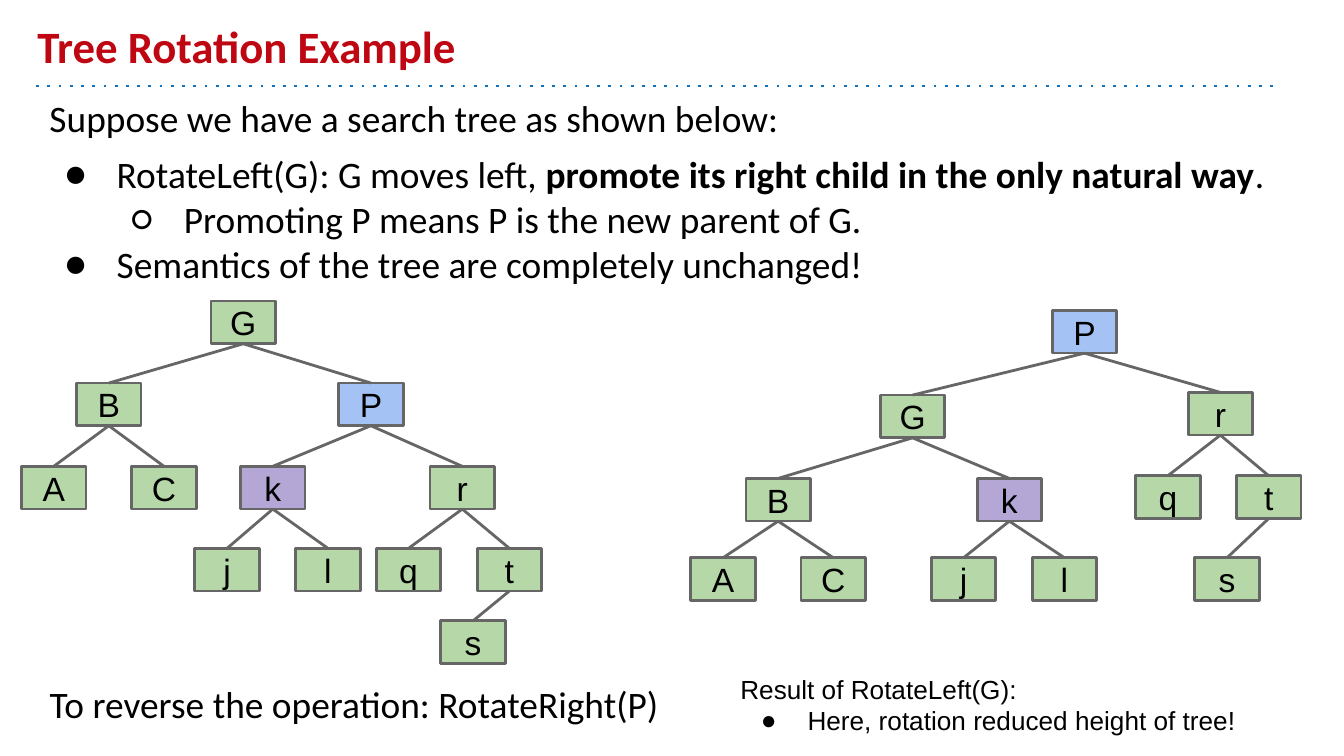
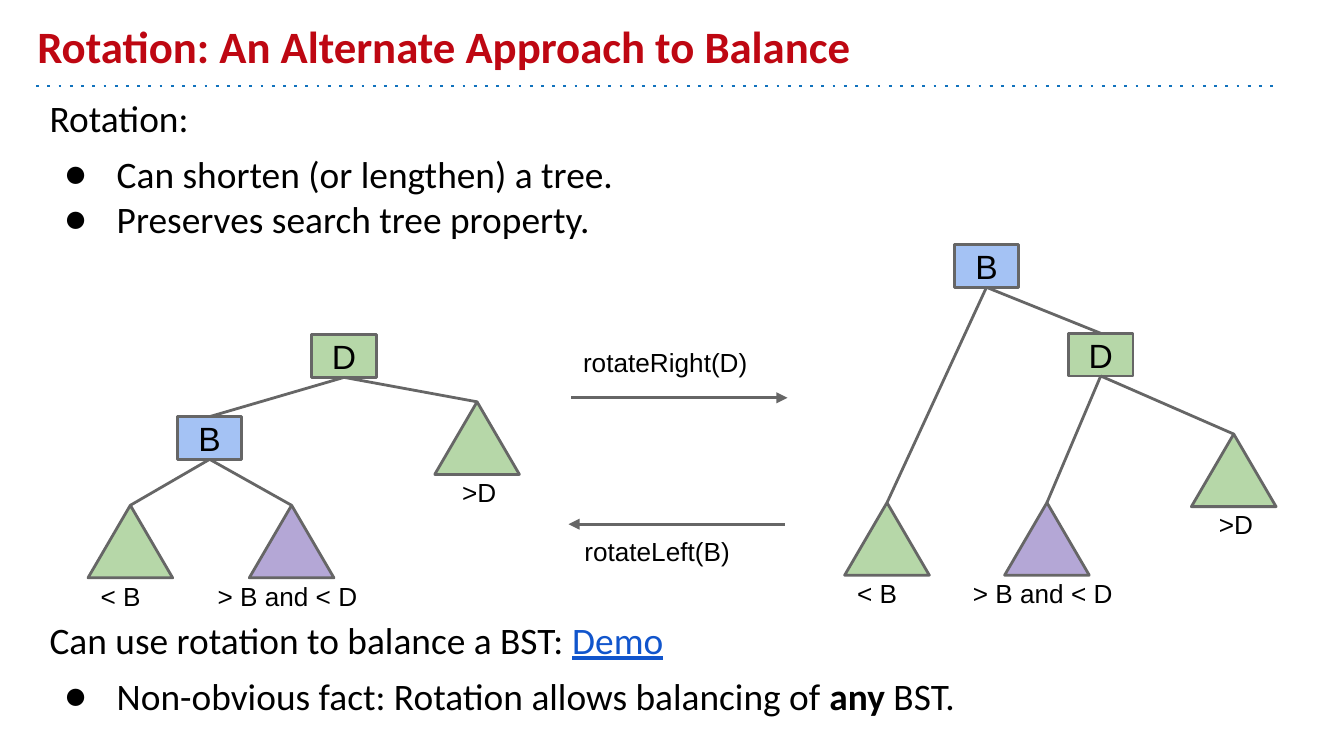
from lxml import etree
from pptx import Presentation
from pptx import util as u
from pptx.dml import color
from pptx.enum import shapes, text
from pptx.oxml import ns

rgb = color.RGBColor.from_string
RED, BLUE, BLACK, GREY, LINK = "BE0712", "1072BD", "000000", "666666", "1155CC"
GREEN, SKY, PURPLE = "B6D7A8", "A4C2F4", "B4A7D6"

TITLE = {"name": "Calibri", "size": u.Pt(24), "bold": True}
BODY = {"name": "Calibri", "size": u.Pt(20)}
KEY = {"name": "Arial", "size": u.Pt(18)}
CAPTION = {"name": "Arial", "size": u.Pt(14)}

deck = Presentation()
deck.slide_width, deck.slide_height = u.Inches(10), u.Inches(5.625)
CELL = deck.slide_width / 100
NODE_W, NODE_H = 4.8, 3.18
SUBTREE_W, SUBTREE_H = 6.3, 5.4
FRAME = {"word_wrap": True, "auto_size": text.MSO_AUTO_SIZE.NONE} | {
    f"margin_{side}": int(CELL) for side in ("left", "right", "top", "bottom")}
BULLETS = "●○"


def write(frame, paragraphs, look, ink=BLACK, gap=0, align=text.PP_ALIGN.LEFT,
          anchor=text.MSO_ANCHOR.TOP):
    for key, value in (FRAME | {"vertical_anchor": anchor}).items():
        setattr(frame, key, value)
    for index, (depth, runs) in enumerate(paragraphs):
        para = frame.add_paragraph() if index else frame.paragraphs[0]
        para.alignment = align
        if index == 1:
            para.space_before = u.Pt(gap)
        if depth:
            props = para._p.get_or_add_pPr()
            props.set("marL", str(u.Inches(0.5 * depth)))
            props.set("indent", str(-u.Inches(0.25) - look["size"] // 2))
            tint = etree.SubElement(props, ns.qn("a:buClr"))
            etree.SubElement(tint, ns.qn("a:srgbClr"), val=BLACK)
            etree.SubElement(props, ns.qn("a:buFont"), typeface=look["name"])
            etree.SubElement(props, ns.qn("a:buChar"), char=BULLETS[depth - 1])
        for words, accent in runs:
            run = para.add_run()
            run.text = words
            run.font.color.rgb = rgb(LINK if accent.get("underline") else ink)
            for key, value in (look | accent).items():
                setattr(run.font, key, value)


def link(slide, start, end, ink=GREY, detail=None):
    line = slide.shapes.add_connector(
        shapes.MSO_CONNECTOR.STRAIGHT, *(int(v * CELL) for v in (*start, *end)))
    line.line.color.rgb = rgb(ink)
    line.line.width = u.Pt(1.5)
    props = line.element.spPr
    etree.SubElement(props, ns.qn("a:effectLst"))
    if detail:
        tag, values = detail
        etree.SubElement(props.find(ns.qn("a:ln")), ns.qn(tag), values)


BOLD, UNDERLINE = {"bold": True}, {"underline": True}
SUBTREES = {
    "< B": (-3.2, 6, GREEN),
    "> B and < D": (-6.5, 14.9, PURPLE),
    ">D": (-2.1, 6.3, GREEN),
}

lessons = [
    {
        "title": "Tree Rotation Example",
        "texts": [
            ((2.7, 6.1, 97.3, 14.3), BODY, [
                (0, [("Suppose we have a search tree as shown below:", {})]),
                (1, [("RotateLeft(G): G moves left, ", {}),
                     ("promote its right child in the only natural way", BOLD),
                     (".", {})]),
                (2, [("Promoting P means P is the new parent of G.", {})]),
                (1, [("Semantics of the tree are completely unchanged!", {})])]),
            ((2.7, 49.7, 94.1, 4.2), BODY, [
                (0, [("To reverse the operation: RotateRight(P)", {})])]),
            ((54.1, 49.1, 44.1, 7.15), CAPTION, [
                (0, [("Result of RotateLeft(G):", {})]),
                (1, [("Here, rotation reduced height of tree!", {})])]),
        ],
        "fills": {"P": SKY, "k": PURPLE},
        "trees": [
            [("G", 18.1, 22.4, None),
             ("B", 8.1, 28.5, "G"), ("P", 27.6, 28.5, "G"),
             ("A", 4, 34.7, "B"), ("C", 12.2, 34.7, "B"),
             ("k", 20.3, 34.7, "P"), ("r", 34.4, 34.7, "P"),
             ("j", 16.9, 40.8, "k"), ("l", 24.4, 40.8, "k"),
             ("q", 30.4, 40.8, "r"), ("t", 37.9, 40.8, "r"),
             ("s", 35.2, 46.2, "t")],
            [("P", 80.7, 23.1, None),
             ("G", 67.9, 29.4, "P"), ("r", 90.8, 29.2, "P"),
             ("B", 57.9, 35.6, "G"), ("k", 75.1, 35.6, "G"),
             ("q", 86.9, 35.4, "r"), ("t", 94.4, 35.4, "r"),
             ("A", 53.8, 41.5, "B"), ("C", 62, 41.5, "B"),
             ("j", 71.7, 41.5, "k"), ("l", 79.2, 41.5, "k"),
             ("s", 91.3, 41.5, "t")],
        ],
        "moves": [],
    },
    {
        "title": "Rotation: An Alternate Approach to Balance",
        "texts": [
            ((2.7, 6.1, 94.1, 8.8), BODY, [
                (0, [("Rotation:", {})]),
                (1, [("Can shorten (or lengthen) a tree.", {})]),
                (1, [("Preserves search tree property.", {})])]),
            ((42.4, 24.8, 16, 4.1), CAPTION, [(0, [("rotateRight(D)", {})])]),
            ((42.5, 38.8, 16, 4.1), CAPTION, [(0, [("rotateLeft(B)", {})])]),
            ((2.7, 44.9, 94.1, 8.8), BODY, [
                (0, [("Can use rotation to balance a BST: ", {}),
                     ("Demo", UNDERLINE)]),
                (1, [("Non-obvious fact: Rotation allows balancing of ", {}),
                     ("any", BOLD), (" BST.", {})])]),
        ],
        "fills": {"B": SKY},
        "trees": [
            [("D", 25.6, 24.9, None), ("B", 15.6, 31, "D"),
             (">D", 35.5, 29.9, "D"), ("< B", 9.7, 37.6, "B"),
             ("> B and < D", 21.7, 37.6, "B")],
            [("B", 73.4, 18.2, None), ("D", 81.9, 24.8, "B"),
             ("< B", 66, 37.4, "B"), ("> B and < D", 77.9, 37.4, "D"),
             (">D", 91.8, 32.3, "D")],
        ],
        "moves": [((42.5, 29.6), (58.6, 29.6)), ((58.4, 39), (42.3, 39))],
    },
]

for lesson in lessons:
    slide = deck.slides.add_slide(deck.slide_layouts[6])
    link(slide, (2.7, 6.4), (95, 6.4), BLUE, ("a:prstDash", {"val": "dot"}))
    heading = slide.shapes.add_textbox(*(int(v * CELL) for v in (1.8, 1, 90, 5.4)))
    write(heading.text_frame, [(0, [(lesson["title"], {})])], TITLE, RED,
          anchor=text.MSO_ANCHOR.BOTTOM)

    captions = []
    for tree in lesson["trees"]:
        feet = {}
        for label, centre, top, parent in tree:
            is_subtree = label in SUBTREES
            width, height = (SUBTREE_W, SUBTREE_H) if is_subtree else (NODE_W, NODE_H)
            outline = (shapes.MSO_SHAPE.ISOSCELES_TRIANGLE if is_subtree
                       else shapes.MSO_SHAPE.RECTANGLE)
            node = slide.shapes.add_shape(outline, *(
                int(v * CELL) for v in (centre - width / 2, top, width, height)))
            node.shadow.inherit = False
            node.fill.solid()
            node.line.color.rgb = rgb(GREY)
            node.line.width = u.Pt(1.5)
            if is_subtree:
                shift, span, fill = SUBTREES[label]
                captions.append(((centre + shift, top + 4.6, span, 1.9), CAPTION,
                                 [(0, [(label, {})])]))
            else:
                fill = lesson["fills"].get(label, GREEN)
                write(node.text_frame, [(0, [(label, {})])], KEY,
                      align=text.PP_ALIGN.CENTER, anchor=text.MSO_ANCHOR.MIDDLE)
            node.fill.fore_color.rgb = rgb(fill)
            feet[label] = centre, top + height
            if parent:
                link(slide, feet[parent], (centre, top))

    for start, end in lesson["moves"]:
        link(slide, start, end, detail=("a:tailEnd", {"type": "triangle"}))
    for area, look, paragraphs in lesson["texts"] + captions:
        box = slide.shapes.add_textbox(*(int(v * CELL) for v in area))
        write(box.text_frame, paragraphs, look, gap=6 if look is BODY else 0)

deck.save("out.pptx")
